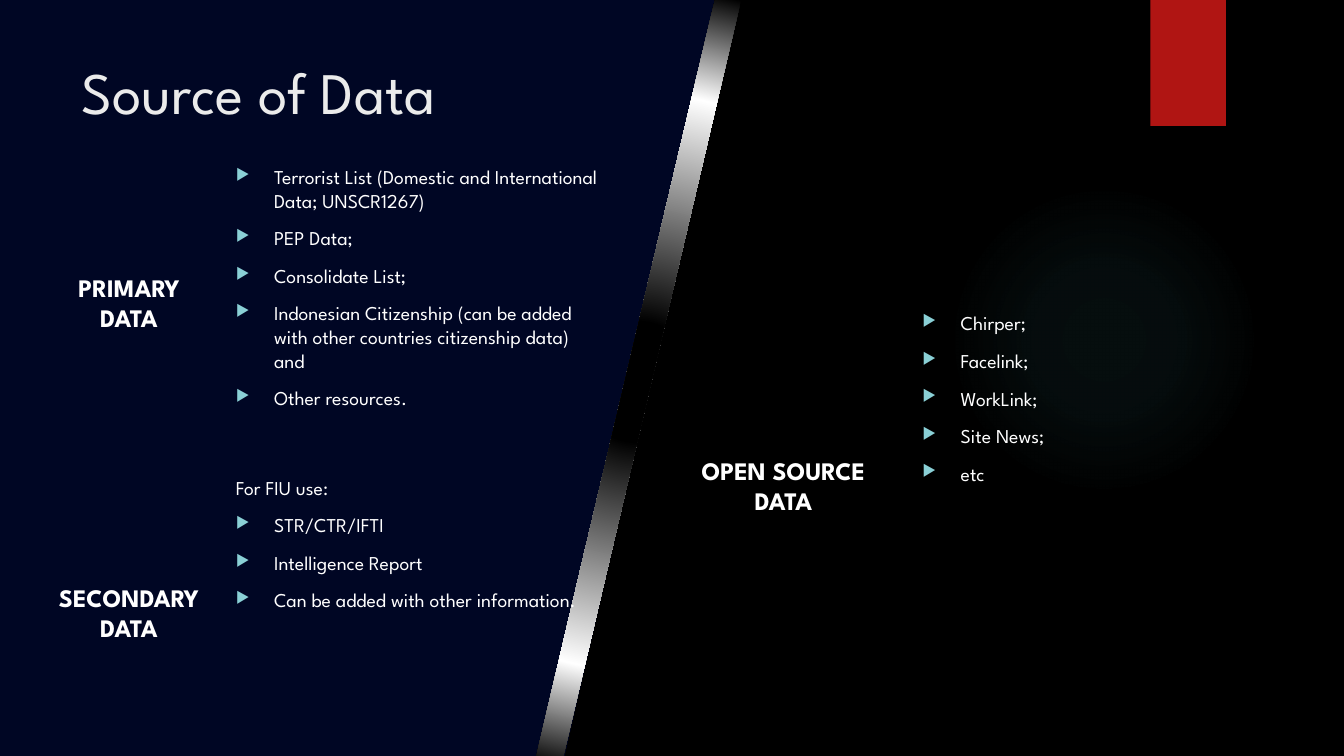
from dataclasses import dataclass

import pptx
import pptx.dml.color
import pptx.enum.shapes
import pptx.enum.text
import pptx.oxml
import pptx.oxml.ns
import pptx.util
from lxml import etree

Inches = pptx.util.Inches
qn = pptx.oxml.ns.qn


@dataclass(frozen=True)
class Theme:
    font: str = "League Spartan"
    black: str = "000000"
    white: str = "FFFFFF"
    title: str = "EBEBEB"
    navy: str = "01082C"
    red: str = "B01513"
    glow: str = "50B9C1"
    bullet: str = "8AD0D6"
    title_size: int = 42
    label_size: int = 18
    list_size: int = 14


@dataclass(frozen=True)
class Stop:
    position: int
    color: str
    alpha: int = 100


@dataclass(frozen=True)
class Source:
    label: tuple[str, ...]
    label_at: tuple[float, float]
    items: tuple[str, ...]
    items_at: tuple[float, float]
    intro: str = ""


THEME = Theme()
LABEL_SIZE = (1.92, 0.71)
LIST_SIZE = (3.88, 2.04)
SOURCES = (
    Source(("PRIMARY", "DATA"), (0.32, 2.65),
           ("Terrorist List (Domestic and International Data; UNSCR1267)",
            "PEP Data;",
            "Consolidate List;",
            "Indonesian Citizenship (can be added with other countries citizenship data) and",
            "Other resources."), (2.24, 1.59)),
    Source(("SECONDARY", "DATA"), (0.32, 5.73),
           ("STR/CTR/IFTI", "Intelligence Report", "Can be added with other information."),
           (2.24, 4.67), intro="For FIU use:"),
    Source(("OPEN SOURCE", "DATA"), (6.81, 4.47),
           ("Chirper;", "Facelink;", "WorkLink;", "Site News;", "etc"), (9.05, 3.04)),
)


def rgb(color: str) -> pptx.dml.color.RGBColor:
    return pptx.dml.color.RGBColor.from_string(color)


# Shapes and fills
def fill_plain(shape, color: str, alpha: int = 100) -> None:
    shape.shadow.inherit = False
    shape.line.fill.background()
    shape.fill.solid()
    shape.fill.fore_color.rgb = rgb(color)
    if alpha < 100:
        tint = shape._element.spPr.find(qn("a:solidFill"))[0]
        etree.SubElement(tint, qn("a:alpha"), val=str(alpha * 1000))


def fill_radial(shape, stops: tuple[Stop, ...]) -> None:
    fill_plain(shape, stops[0].color)
    marks = "".join(
        f'<a:gs pos="{stop.position * 1000}"><a:srgbClr val="{stop.color}">'
        f'<a:alpha val="{stop.alpha * 1000}"/></a:srgbClr></a:gs>' for stop in stops)
    gradient = pptx.oxml.parse_xml(
        f'<a:gradFill {pptx.oxml.ns.nsdecls("a")} rotWithShape="1"><a:gsLst>{marks}</a:gsLst>'
        '<a:path path="circle"><a:fillToRect l="50000" t="50000" r="50000" b="50000"/>'
        '</a:path></a:gradFill>')
    properties = shape._element.spPr
    properties.replace(properties.find(qn("a:solidFill")), gradient)


def add_preset(page, kind, left: float, top: float, width: float, height: float):
    return page.shapes.add_shape(kind, Inches(left), Inches(top), Inches(width), Inches(height))


def add_outline(page, *points: tuple[float, float]):
    corners = [(Inches(x), Inches(y)) for x, y in points]
    builder = page.shapes.build_freeform(*corners[0])
    builder.add_line_segments(corners[1:], close=True)
    return builder.convert_to_shape()


# Text
def add_bullet(para) -> None:
    properties = para._p.get_or_add_pPr()
    properties.set("marL", str(Inches(0.38)))
    properties.set("indent", str(-Inches(0.38)))
    tint = etree.SubElement(properties, qn("a:buClr"))
    etree.SubElement(tint, qn("a:srgbClr"), val=THEME.bullet)
    etree.SubElement(properties, qn("a:buSzPct"), val="80000")
    etree.SubElement(properties, qn("a:buChar"), char="▶")


def write(para, text: str, *, size: int, color: str = THEME.white, bold: bool = False,
          centered: bool = False, bullet: bool = False, before: int = 0) -> None:
    if bullet:
        add_bullet(para)
    align = pptx.enum.text.PP_ALIGN
    para.alignment = align.CENTER if centered else align.LEFT
    para.space_before = pptx.util.Pt(before)
    span = para.add_run()
    span.text = text
    span.font.name = THEME.font
    span.font.size = pptx.util.Pt(size)
    span.font.bold = bold
    span.font.color.rgb = rgb(color)


def add_frame(page, at: tuple[float, float], size: tuple[float, float]):
    box = page.shapes.add_textbox(*(Inches(value) for value in at + size))
    box.text_frame.word_wrap = True
    return box.text_frame


def next_para(frame, index: int):
    return frame.add_paragraph() if index else frame.paragraphs[0]


def add_source(page, source: Source) -> None:
    frame = add_frame(page, source.label_at, LABEL_SIZE)
    for index, text in enumerate(source.label):
        write(next_para(frame, index), text, size=THEME.label_size, bold=True, centered=True)

    frame = add_frame(page, source.items_at, LIST_SIZE)
    frame.margin_right = Inches(0.15)
    lines = ((source.intro,) if source.intro else ()) + source.items
    for index, text in enumerate(lines):
        write(next_para(frame, index), text, size=THEME.list_size,
              bullet=text != source.intro, before=10 if index else 0)


def add_title(page, text: str) -> None:
    title = page.shapes.title
    title.left, title.top = Inches(0.71), Inches(0.5)
    title.width, title.height = Inches(10.29), Inches(1.53)
    frame = title.text_frame
    frame.word_wrap = True
    frame.auto_size = pptx.enum.text.MSO_AUTO_SIZE.NONE
    frame.vertical_anchor = pptx.enum.text.MSO_ANCHOR.TOP
    write(frame.paragraphs[0], text, size=THEME.title_size, color=THEME.title)


def add_backdrop(page) -> None:
    page.background.fill.solid()
    page.background.fill.fore_color.rgb = rgb(THEME.black)
    kinds = pptx.enum.shapes.MSO_SHAPE
    glow = add_preset(page, kinds.OVAL, 9.41, 1.83, 3.08, 3.08)
    fill_radial(glow, (Stop(0, THEME.glow, 7), Stop(36, THEME.glow, 6), Stop(69, THEME.glow, 0)))
    fill_plain(add_preset(page, kinds.RECTANGLE, 11.41, 0, 0.75, 1.25), THEME.red)
    panel = add_outline(page, (0, -0.08), (7.35, -0.08), (5.6, 7.5), (0, 7.5))
    fill_plain(panel, THEME.navy, alpha=82)
    stripe = add_outline(page, (7.09, 0), (7.35, 0), (5.57, 7.58), (5.3, 7.58))
    fill_radial(stripe, (Stop(15, THEME.black), Stop(73, THEME.white), Stop(100, THEME.black)))


def main() -> None:
    deck = pptx.Presentation()
    deck.slide_width, deck.slide_height = Inches(13.33), Inches(7.5)
    page = deck.slides.add_slide(deck.slide_layouts[5])
    add_backdrop(page)
    # Bring the title in front of the backdrop
    page.shapes._spTree.append(page.shapes.title._element)
    add_title(page, "Source of Data")
    for source in SOURCES:
        add_source(page, source)
    deck.save("out.pptx")


if __name__ == "__main__":
    main()
